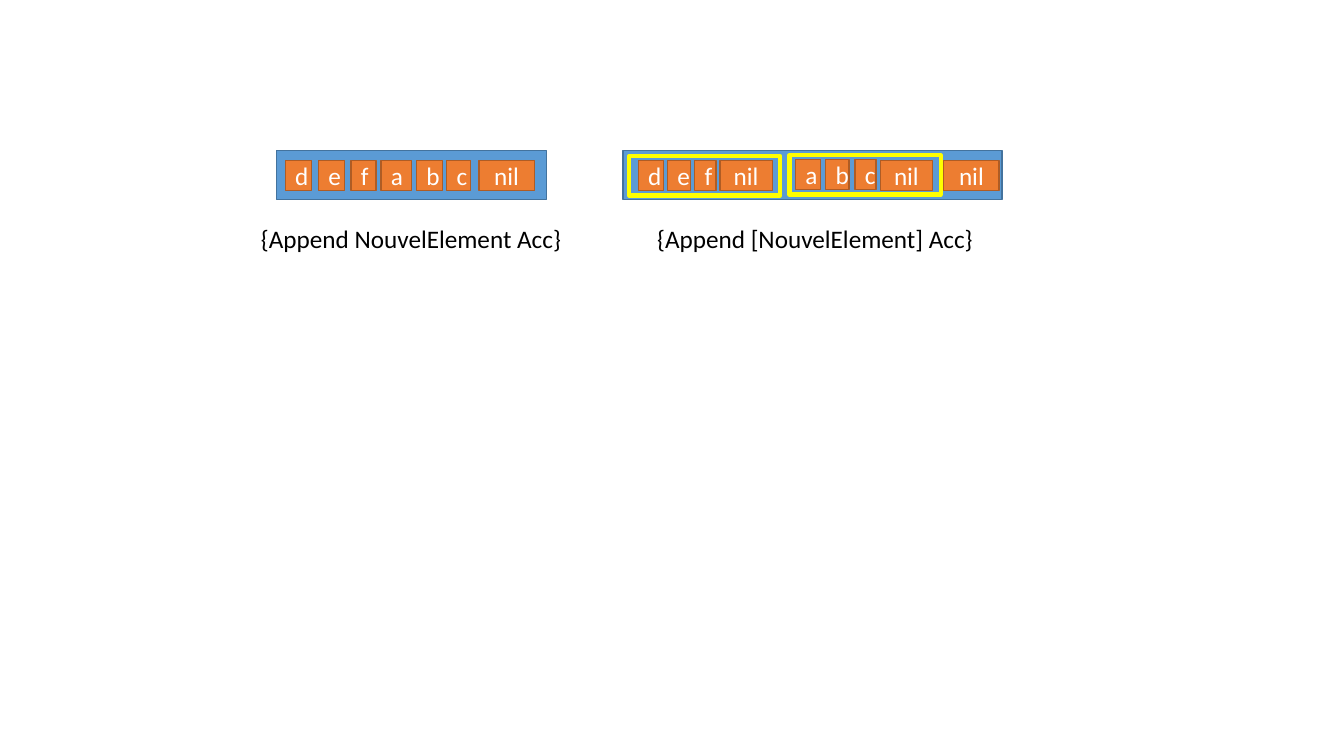
from typing import NamedTuple, Optional

import pptx
import pptx.dml.color
import pptx.enum.shapes
import pptx.enum.text
import pptx.util

Inches = pptx.util.Inches
RGBColor = pptx.dml.color.RGBColor

BLUE = RGBColor(0x5B, 0x9B, 0xD5)
DARK_BLUE = RGBColor(0x43, 0x73, 0x9E)
ORANGE = RGBColor(0xED, 0x7D, 0x31)
DARK_ORANGE = RGBColor(0xAF, 0x5C, 0x24)
YELLOW = RGBColor(0xFF, 0xFF, 0x00)
WHITE = RGBColor(0xFF, 0xFF, 0xFF)
BLACK = RGBColor(0x00, 0x00, 0x00)

FONT_FORMAT = {"name": "Calibri", "size": pptx.util.Pt(18)}
CELL_FORMAT = {"vertical_anchor": pptx.enum.text.MSO_ANCHOR.MIDDLE}
CAPTION_FORMAT = {
    "word_wrap": False,
    "auto_size": pptx.enum.text.MSO_AUTO_SIZE.SHAPE_TO_FIT_TEXT,
}


class Style(NamedTuple):
    fill: Optional[RGBColor]
    line: RGBColor
    line_width: float


class Cell(NamedTuple):
    label: str
    left: float
    width: float
    top: float = 1.59


class Frame(NamedTuple):
    left: float
    top: float
    width: float
    height: float


class Caption(NamedTuple):
    label: str
    left: float
    width: float


class Memory(NamedTuple):
    bar: Frame
    cells: list[Cell]
    frames: list[Frame]
    caption: Caption


BAR_STYLE = Style(BLUE, DARK_BLUE, 1)
CELL_STYLE = Style(ORANGE, DARK_ORANGE, 1)
FRAME_STYLE = Style(None, YELLOW, 3)
CELL_HEIGHT = 0.3

FLAT_LIST = Memory(
    Frame(2.74, 1.49, 2.68, 0.49),
    [
        Cell("d", 2.83, 0.26),
        Cell("e", 3.16, 0.26),
        Cell("f", 3.48, 0.25),
        Cell("a", 3.78, 0.3),
        Cell("b", 4.13, 0.26),
        Cell("c", 4.43, 0.24),
        Cell("nil", 4.75, 0.55),
    ],
    [],
    Caption("{Append NouvelElement Acc}", 2.49, 3.21),
)
NESTED_LIST = Memory(
    Frame(6.18, 1.49, 3.76, 0.49),
    [
        Cell("d", 6.33, 0.25),
        Cell("e", 6.62, 0.23),
        Cell("f", 6.89, 0.21),
        Cell("nil", 7.14, 0.52),
        Cell("a", 7.89, 0.25, 1.58),
        Cell("b", 8.19, 0.23, 1.58),
        Cell("c", 8.48, 0.21, 1.58),
        Cell("nil", 8.73, 0.52),
        Cell("nil", 9.36, 0.55),
    ],
    [Frame(6.24, 1.55, 1.5, 0.39), Frame(7.83, 1.54, 1.5, 0.39)],
    Caption("{Append [NouvelElement] Acc}", 6.42, 3.37),
)


def apply_format(target: object, values: dict[str, object]) -> None:
    for name, value in values.items():
        setattr(target, name, value)


def write_text(box, label: str, color: RGBColor, frame_format: dict[str, object]):
    apply_format(box.text_frame, frame_format)
    para = box.text_frame.paragraphs[0]
    span = para.add_run()
    span.text = label
    apply_format(span.font, FONT_FORMAT)
    span.font.color.rgb = color
    return para


def draw_rectangle(page, frame: Frame, style: Style):
    box = page.shapes.add_shape(
        pptx.enum.shapes.MSO_SHAPE.RECTANGLE, *map(Inches, frame)
    )
    box.shadow.inherit = False
    if style.fill is None:
        box.fill.background()
    else:
        box.fill.solid()
        box.fill.fore_color.rgb = style.fill
    box.line.color.rgb = style.line
    box.line.width = pptx.util.Pt(style.line_width)
    return box


def draw_cell(page, cell: Cell) -> None:
    frame = Frame(cell.left, cell.top, cell.width, CELL_HEIGHT)
    box = draw_rectangle(page, frame, CELL_STYLE)
    para = write_text(box, cell.label, WHITE, CELL_FORMAT)
    para.alignment = pptx.enum.text.PP_ALIGN.CENTER


def draw_caption(page, caption: Caption) -> None:
    box = page.shapes.add_textbox(
        Inches(caption.left), Inches(2.17), Inches(caption.width), Inches(0.4)
    )
    write_text(box, caption.label, BLACK, CAPTION_FORMAT)


def draw_memory(page, memory: Memory) -> None:
    draw_rectangle(page, memory.bar, BAR_STYLE)
    for cell in memory.cells:
        draw_cell(page, cell)
    for frame in memory.frames:
        draw_rectangle(page, frame, FRAME_STYLE)
    draw_caption(page, memory.caption)


deck = pptx.Presentation()
apply_format(deck, {"slide_width": Inches(13.33), "slide_height": Inches(7.5)})
page = deck.slides.add_slide(deck.slide_layouts[6])
for memory in (FLAT_LIST, NESTED_LIST):
    draw_memory(page, memory)
deck.save("out.pptx")
